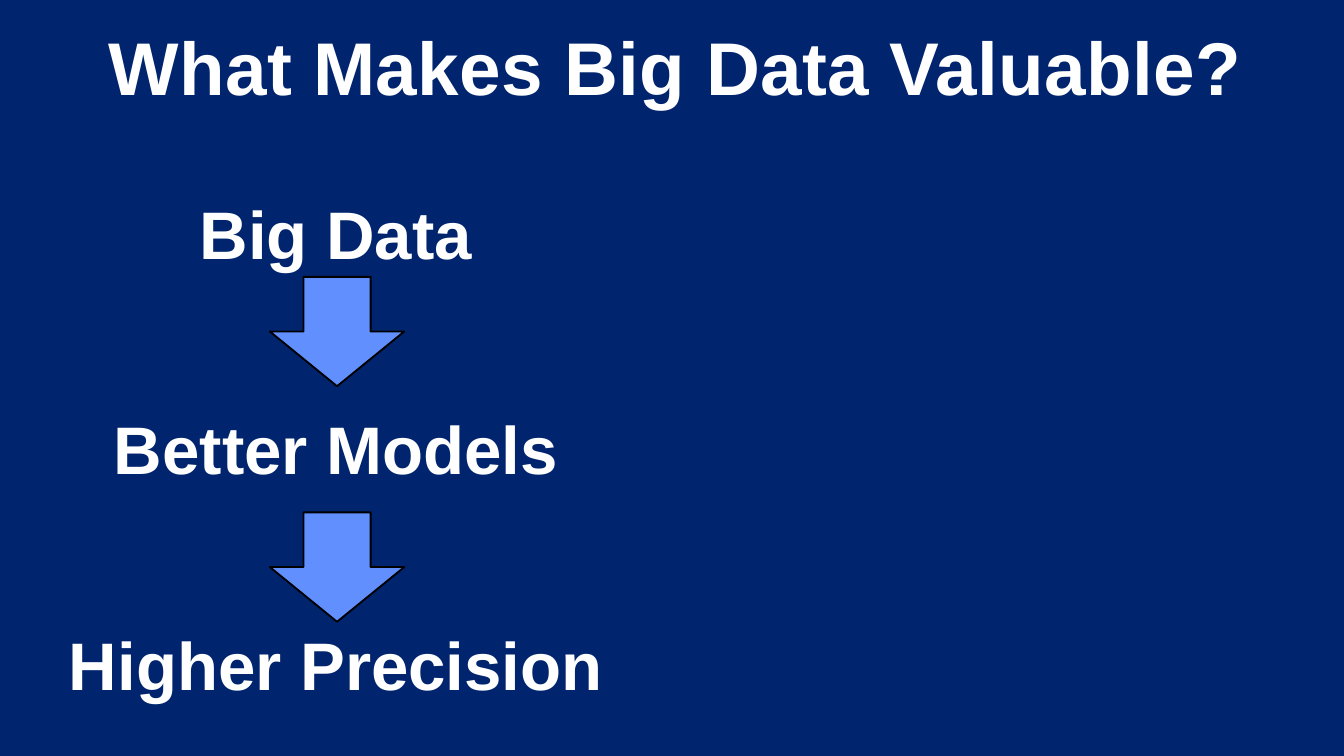
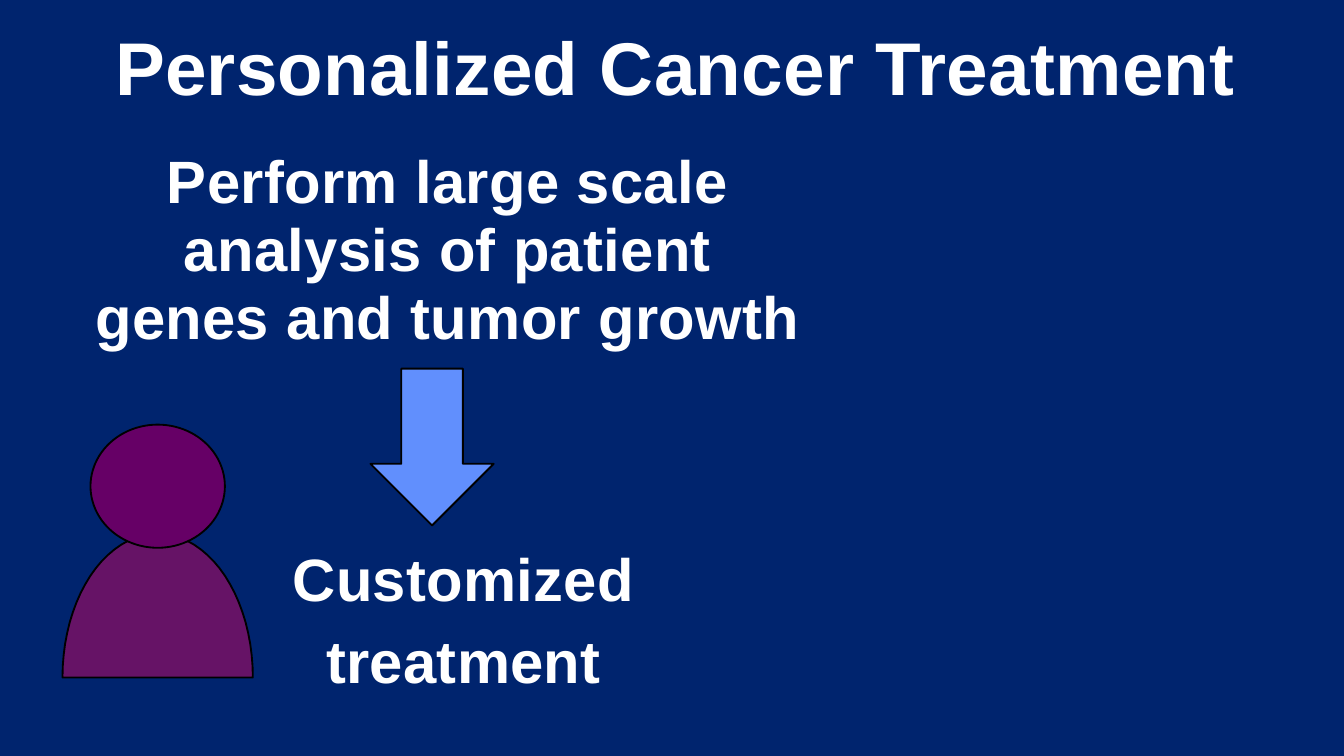
from dataclasses import dataclass
from math import cos, pi, sin

from pptx import Presentation
from pptx.dml.color import RGBColor
from pptx.enum.shapes import MSO_SHAPE as Shape
from pptx.enum.text import MSO_ANCHOR as Anchor, MSO_AUTO_SIZE as AutoSize, PP_ALIGN as Align
from pptx.util import Pt

FONT = "Arial"
NAVY, WHITE, BLACK = "00246E", "FFFFFF", "000000"
ARROW_BLUE, HEAD_PURPLE, BODY_PURPLE = "618FFD", "660066", "661366"


@dataclass(frozen=True)
class Box:
    left: float
    top: float
    width: float
    height: float

    def lengths(self):
        return Pt(self.left), Pt(self.top), Pt(self.width), Pt(self.height)


@dataclass(frozen=True)
class Line:
    """One paragraph; a vertical tab in its text breaks the line."""
    text: str
    spacing: float = 1.0


PAGE_BOX = Box(0, 0, 720, 405)
TITLE_BOX = Box(14, 11.2, 696, 88)


def rgb(color: str) -> RGBColor:
    return RGBColor.from_string(color)


def write_lines(shape, lines: list[Line], size: float, tracking: float = 0) -> None:
    """Fill a shape with centred bold lines; tracking is extra points per letter."""
    frame = shape.text_frame
    frame.word_wrap = True
    frame.auto_size = AutoSize.NONE
    frame.vertical_anchor = Anchor.TOP
    frame.margin_left = frame.margin_top = frame.margin_right = frame.margin_bottom = 0
    for index, line in enumerate(lines):
        para = frame.add_paragraph() if index else frame.paragraphs[0]
        para.text = line.text
        para.alignment = Align.CENTER
        para.line_spacing = line.spacing
        para.space_before = Pt(0)
        for span in para.runs:
            span.font.name = FONT
            span.font.size = Pt(size)
            span.font.bold = True
            span.font.color.rgb = rgb(WHITE)
            if tracking:
                span._r.get_or_add_rPr().set("spc", str(round(tracking * 100)))


def add_page(deck, title: str):
    page = deck.slides.add_slide(deck.slide_layouts[5])
    shape = page.shapes.title
    shape.left, shape.top, shape.width, shape.height = TITLE_BOX.lengths()
    write_lines(shape, [Line(title)], 40, 0.2)
    backdrop = add_preset(page, Shape.RECTANGLE, PAGE_BOX, NAVY)
    backdrop.line.fill.background()
    shape.element.addprevious(backdrop.element)
    return page


def add_text(page, box: Box, lines: list[Line], size: float, tracking: float = 0) -> None:
    write_lines(page.shapes.add_textbox(*box.lengths()), lines, size, tracking)


def paint(shape, color: str) -> None:
    shape.shadow.inherit = False
    shape.fill.solid()
    shape.fill.fore_color.rgb = rgb(color)
    shape.line.color.rgb = rgb(BLACK)
    shape.line.width = Pt(1)


def add_preset(page, kind: Shape, box: Box, color: str):
    shape = page.shapes.add_shape(kind, *box.lengths())
    paint(shape, color)
    return shape


def add_half_ellipse(page, box: Box, color: str, steps: int = 40) -> None:
    radius = box.width / 2
    points = [
        (Pt(box.left + radius - radius * cos(pi * step / steps)),
         Pt(box.top + box.height - box.height * sin(pi * step / steps)))
        for step in range(steps + 1)
    ]
    builder = page.shapes.build_freeform(*points[0])
    builder.add_line_segments(points[1:], close=True)
    paint(builder.convert_to_shape(), color)


def add_value_page(deck) -> None:
    page = add_page(deck, "What Makes Big Data Valuable?")
    for top in (148.3, 274.5):
        add_preset(page, Shape.DOWN_ARROW, Box(144.6, top, 72, 58.6), ARROW_BLUE)
    chain = [Line("Big Data"), Line("Better Models", 2.67), Line("Higher Precision", 2.67)]
    add_text(page, Box(36, 103, 288, 270), chain, 36)


def add_treatment_page(deck) -> None:
    page = add_page(deck, "Personalized Cancer Treatment")
    analysis = "Perform large scale\vanalysis of patient\vgenes and tumor growth"
    add_text(page, Box(48.5, 80, 383, 105), [Line(analysis, 0.95)], 32, 0.2)
    add_text(page, Box(156.2, 284.5, 184.4, 78), [Line("Customized\vtreatment", 1.15)], 32, 0.15)
    add_preset(page, Shape.DOWN_ARROW, Box(198.5, 197.5, 66, 84), ARROW_BLUE)
    add_half_ellipse(page, Box(33.5, 286, 102, 77), BODY_PURPLE)
    add_preset(page, Shape.OVAL, Box(48.5, 227.5, 72, 66), HEAD_PURPLE)


def main() -> None:
    deck = Presentation()
    deck.slide_width, deck.slide_height = Pt(PAGE_BOX.width), Pt(PAGE_BOX.height)
    add_value_page(deck)
    add_treatment_page(deck)
    deck.save("out.pptx")


if __name__ == "__main__":
    main()
